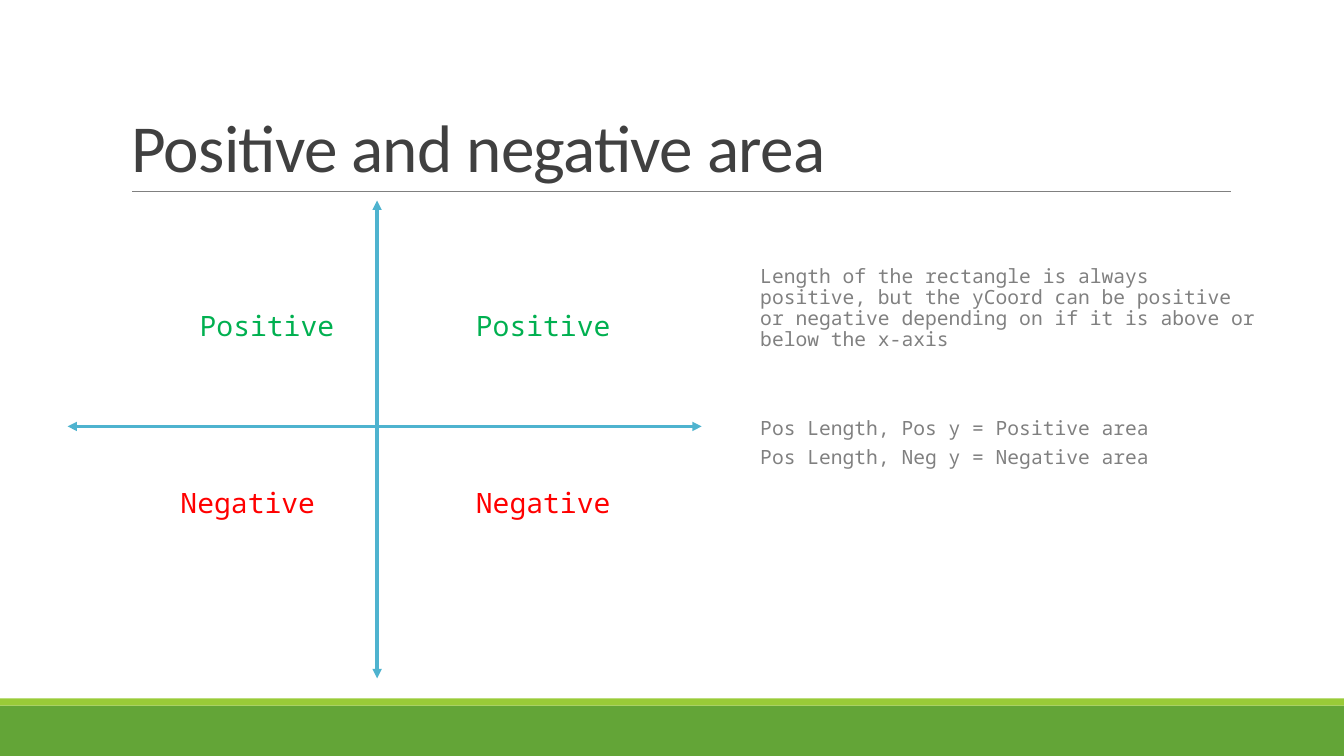
from dataclasses import dataclass

from lxml.etree import SubElement
from pptx import Presentation
from pptx.dml.color import RGBColor
from pptx.enum.shapes import MSO_CONNECTOR, MSO_SHAPE
from pptx.enum.text import MSO_ANCHOR, MSO_AUTO_SIZE, PP_ALIGN
from pptx.oxml.ns import qn
from pptx.util import Inches, Pt


@dataclass(frozen=True)
class Theme:
    title_font: str = "Calibri"
    body_font: str = "Noto Sans Mono"
    title_size: float = 48
    label_size: float = 20
    body_size: float = 14
    title: str = "404040"
    grey: str = "808080"
    axis: str = "4EB3CF"
    positive: str = "00B050"
    negative: str = "FF0000"
    band: str = "63A537"
    band_edge: str = "99CB38"


THEME = Theme()


def place(s, left, top, width, height):
    s.left, s.top = Inches(left), Inches(top)
    s.width, s.height = Inches(width), Inches(height)


def add_run(p, text, font, size, color):
    r = p.add_run()
    r.text = text
    r.font.name = font
    r.font.size = Pt(size)
    r.font.color.rgb = RGBColor.from_string(color)
    return r


def setup_frame(tf, side_inset):
    tf.word_wrap = True
    tf.auto_size = MSO_AUTO_SIZE.NONE
    tf.margin_left = tf.margin_right = Inches(side_inset)
    tf.margin_top = tf.margin_bottom = Inches(0.05)


def add_body_text(p, text, size, color, before=2):
    """Fill an indented paragraph without a bullet."""
    p.alignment = PP_ALIGN.LEFT
    p.line_spacing = 0.9
    p.space_before, p.space_after = Pt(before), Pt(4)
    pPr = p._p.get_or_add_pPr()
    pPr.set("marL", str(Inches(0.22)))
    pPr.set("indent", "0")
    SubElement(pPr, qn("a:buNone"))
    add_run(p, text, THEME.body_font, size, color)


def add_title(slide, text):
    s = slide.shapes.title
    place(s, 1.2, 0.31, 11, 1.59)
    tf = s.text_frame
    setup_frame(tf, 0.1)
    tf.vertical_anchor = MSO_ANCHOR.BOTTOM
    p = tf.paragraphs[0]
    p.alignment = PP_ALIGN.LEFT
    p.line_spacing = 0.85
    r = add_run(p, text, THEME.title_font, THEME.title_size, THEME.title)
    r.font._element.set("spc", "-50")


def add_explanation(slide, items):
    s = slide.placeholders[1]
    place(s, 7.32, 2.59, 5.25, 2.74)
    tf = s.text_frame
    setup_frame(tf, 0)
    tf.vertical_anchor = MSO_ANCHOR.TOP
    for i, (text, before) in enumerate(items):
        p = tf.paragraphs[0] if i == 0 else tf.add_paragraph()
        add_body_text(p, text, THEME.body_size, THEME.grey, before)


def add_label(slide, text, left, top, color):
    s = slide.shapes.add_textbox(Inches(left), Inches(top), Inches(1.79), Inches(0.44))
    setup_frame(s.text_frame, 0)
    add_body_text(s.text_frame.paragraphs[0], text, THEME.label_size, color)


def add_band(slide, top, height, color):
    s = slide.shapes.add_shape(
        MSO_SHAPE.RECTANGLE, 0, Inches(top), Inches(13.33), Inches(height))
    s.shadow.inherit = False
    s.fill.solid()
    s.fill.fore_color.rgb = RGBColor.from_string(color)
    s.line.fill.background()


def add_line(slide, x1, y1, x2, y2, color, width, arrows=False):
    s = slide.shapes.add_connector(
        MSO_CONNECTOR.STRAIGHT, Inches(x1), Inches(y1), Inches(x2), Inches(y2))
    s.line.color.rgb = RGBColor.from_string(color)
    s.line.width = Pt(width)
    if arrows:
        for end in ("a:headEnd", "a:tailEnd"):
            SubElement(s.line._get_or_add_ln(), qn(end), type="triangle")
    SubElement(s._element.spPr, qn("a:effectLst"))


def main():
    prs = Presentation()
    prs.slide_width, prs.slide_height = Inches(13.33), Inches(7.5)
    slide = prs.slides.add_slide(prs.slide_layouts[1])

    # Footer bands and title rule
    add_band(slide, 7, 0.5, THEME.band)
    add_band(slide, 6.93, 0.07, THEME.band_edge)
    add_line(slide, 1.31, 1.9, 12.21, 1.9, THEME.grey, 0.5)

    # Title and explanation; the wide space before separates the rules
    add_title(slide, "Positive and negative area")
    add_explanation(slide, [
        ("Length of the rectangle is always positive, but the yCoord can be "
         "positive or negative depending on if it is above or below the x-axis", 2),
        ("Pos Length, Pos y = Positive area", 44),
        ("Pos Length, Neg y = Negative area", 2),
    ])

    # Axes
    add_line(slide, 3.74, 1.99, 3.74, 6.73, THEME.axis, 2.25, arrows=True)
    add_line(slide, 6.96, 4.23, 0.67, 4.23, THEME.axis, 2.25, arrows=True)

    # Quadrant labels
    for text, top, color, lefts in (
        ("Positive", 3.05, THEME.positive, (1.76, 4.5)),
        ("Negative", 4.81, THEME.negative, (1.57, 4.5)),
    ):
        for left in lefts:
            add_label(slide, text, left, top, color)

    prs.save("out.pptx")


if __name__ == "__main__":
    main()
